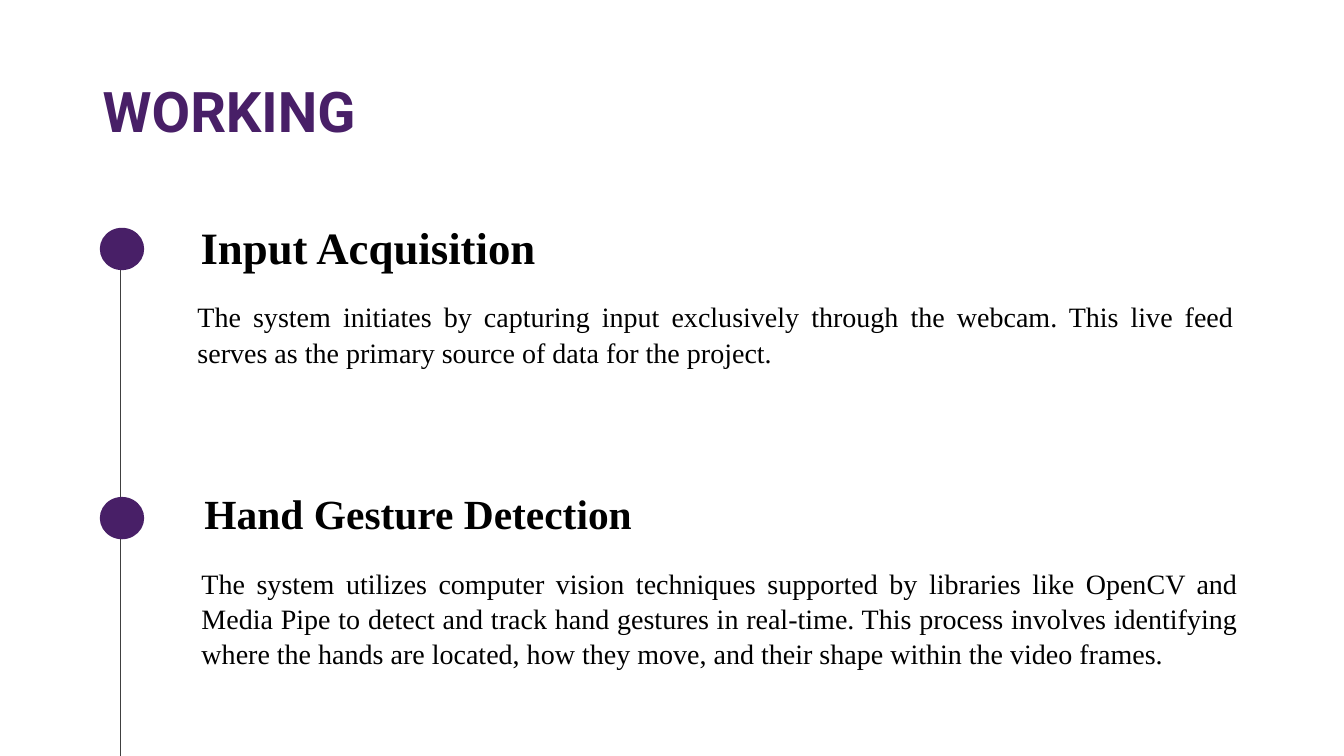
from pptx import Presentation
from pptx.dml.color import RGBColor
from pptx.enum.shapes import MSO_CONNECTOR, MSO_SHAPE
from pptx.enum.text import MSO_ANCHOR, PP_ALIGN
from pptx.oxml.ns import qn
from pptx.util import Inches, Pt
from lxml import etree

LINE, OVAL = MSO_CONNECTOR.STRAIGHT, MSO_SHAPE.OVAL
TOP, MID = MSO_ANCHOR.TOP, MSO_ANCHOR.MIDDLE
LEFT, JUST = PP_ALIGN.LEFT, PP_ALIGN.JUSTIFY
SERIF = "Times New Roman"
PURPLE = "481F67"


def paint(color, value):
    color.rgb = RGBColor.from_string(value)


def write(box, text, anchor, align, space, color, **look):
    shape = slide.shapes.add_textbox(*map(Inches, box))
    frame = shape.text_frame
    frame.word_wrap = True
    frame.vertical_anchor = anchor
    para = frame.paragraphs[0]
    para.alignment = align
    para.line_spacing = space
    run = para.add_run()
    run.text = text
    for key, value in look.items():
        setattr(run.font, key, value)
    paint(run.font.color, color)


deck = Presentation()
deck.slide_width, deck.slide_height = Inches(13.33), Inches(7.5)
slide = deck.slides.add_slide(deck.slide_layouts[6])

# Title
write((0.92, 0.41, 11.5, 1.45), "WORKING", MID, LEFT, 0.9, PURPLE,
      name="Roboto", size=Pt(40), bold=True)

# Timeline
rail = slide.shapes.add_connector(
    LINE, Inches(1.19), Inches(2.68), Inches(1.19), Inches(7.5))
rail.line.width = Pt(0.5)
paint(rail.line.color, "404040")
etree.SubElement(rail._element.spPr, qn("a:effectLst"))

# Steps: dot top, heading box, heading size, heading, body box, body
steps = [
    (2.26, (1.89, 1.93, 4.12, 1.03), 32, "Input Acquisition",
     (1.86, 2.91, 10.48, 1.08),
     "The system initiates by capturing input exclusively through the webcam. "
     "This live feed serves as the primary source of data for the project."),
    (4.93, (1.93, 4.57, 4.73, 1.03), 29.6, "Hand Gesture Detection",
     (1.9, 5.55, 10.48, 1.34),
     "The system utilizes computer vision techniques supported by libraries "
     "like OpenCV and Media Pipe to detect and track hand gestures in "
     "real-time. This process involves identifying where the hands are "
     "located, how they move, and their shape within the video frames."),
]
for top, head, size, name, body, text in steps:
    dot = slide.shapes.add_shape(
        OVAL, Inches(0.99), Inches(top), Inches(0.44), Inches(0.42))
    dot.shadow.inherit = False
    dot.fill.solid()
    paint(dot.fill.fore_color, PURPLE)
    dot.line.fill.background()
    write(head, name, MID, LEFT, 1.0, "000000",
          name=SERIF, size=Pt(size), bold=True)
    write(body, text, TOP, JUST, 1.05, "000000", name=SERIF, size=Pt(20))

deck.save("out.pptx")
